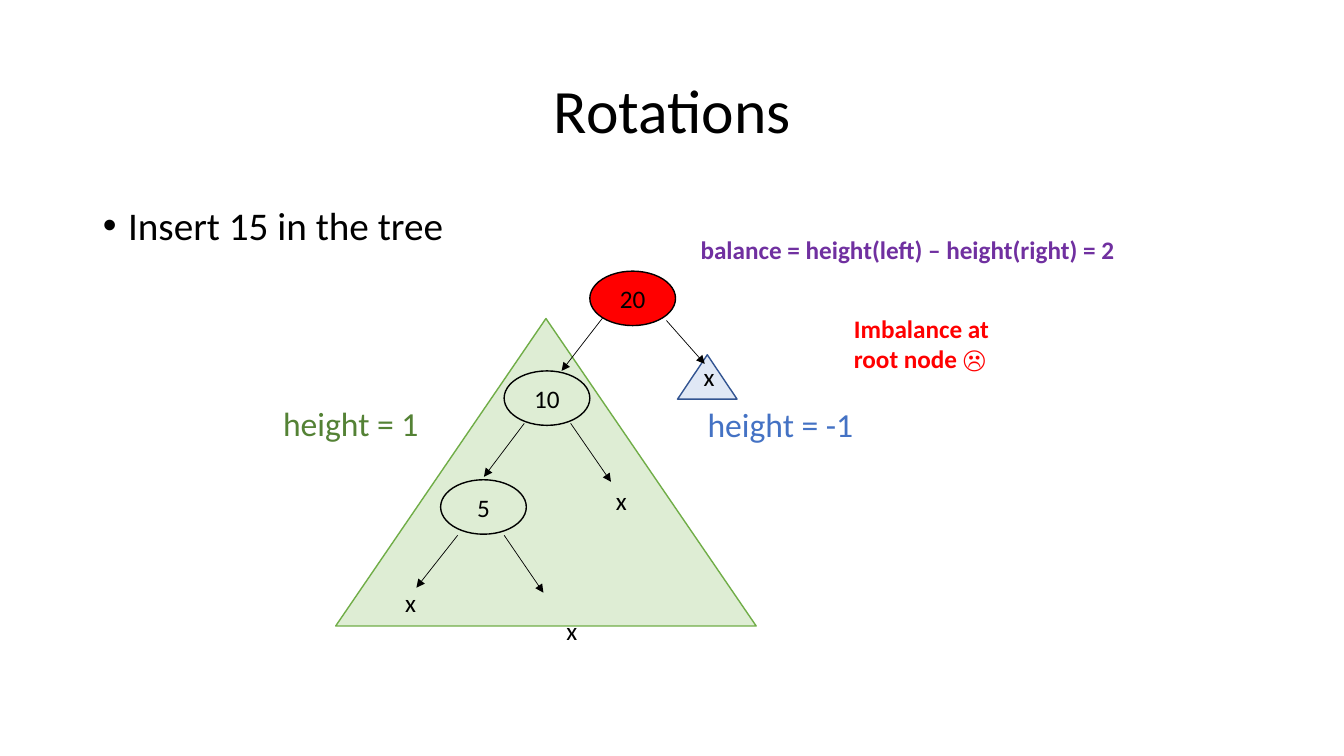
from dataclasses import dataclass

import lxml.etree
import pptx
import pptx.dml.color
import pptx.enum.shapes
import pptx.enum.text
import pptx.oxml.ns
import pptx.util

Inches = pptx.util.Inches
Pt = pptx.util.Pt
qn = pptx.oxml.ns.qn
Align = pptx.enum.text.PP_ALIGN
Anchor = pptx.enum.text.MSO_ANCHOR
Preset = pptx.enum.shapes.MSO_SHAPE


@dataclass(frozen=True)
class Theme:
    font: str = "Calibri"
    title_size: int = 44
    body_size: int = 28
    height_size: int = 24
    label_size: int = 18
    black: str = "000000"
    red: str = "FF0000"
    purple: str = "7030A0"
    green_text: str = "548235"
    green_fill: str = "A9D18E"
    green_line: str = "70AD47"
    blue: str = "4472C4"
    blue_line: str = "325491"


THEME = Theme()


@dataclass(frozen=True)
class Subtree:
    left: float
    top: float
    width: float
    height: float
    fill: str
    opacity: int
    line: str


@dataclass(frozen=True)
class Node:
    key: str
    left: float
    top: float
    fill: str | None = None


@dataclass(frozen=True)
class Arrow:
    start: tuple[float, float]
    end: tuple[float, float]


@dataclass(frozen=True)
class Label:
    text: str
    left: float
    top: float
    width: float = 0.31
    height: float = 0.4
    color: str = THEME.black
    size: int = THEME.label_size
    bold: bool = False
    wrap: bool = True


NODE_WIDTH, NODE_HEIGHT = 0.85, 0.54

LEFT_SUBTREE = Subtree(3.33, 3.16, 4.17, 3.05, THEME.green_fill, 38, THEME.green_line)
RIGHT_SUBTREE = Subtree(6.72, 3.52, 0.59, 0.44, THEME.blue, 16, THEME.blue_line)

NODES = [
    Node("20", 5.85, 2.69, THEME.red),
    Node("10", 5, 3.68),
    Node("5", 4.37, 4.76),
]

ARROWS = [
    Arrow((5.98, 3.15), (5.57, 3.68)),
    Arrow((6.61, 3.18), (6.99, 3.61)),
    Arrow((5.2, 4.2), (4.8, 4.73)),
    Arrow((5.66, 4.2), (6.06, 4.78)),
    Arrow((4.54, 5.31), (4.13, 5.83)),
    Arrow((5, 5.31), (5.39, 5.88)),
]

EMPTY_CHILDREN = [(6.88, 3.54), (6.01, 4.77), (3.92, 5.78), (5.52, 6.06)]

LABELS = [
    Label("balance = height(left) – height(right) = 2", 6.85, 2.28, 5,
          color=THEME.purple, bold=True),
    Label("Imbalance at root node ☹", 8.37, 3.06, 1.8, 0.71, THEME.red, bold=True),
    Label("height = 1", 2.71, 3.95, 1.84, 0.5, THEME.green_text, THEME.height_size),
    Label("height = -1", 6.92, 3.96, 1.84, 0.5, THEME.blue, THEME.height_size),
    *(Label("x", left, top, wrap=False) for left, top in EMPTY_CHILDREN),
]


def rgb(color: str) -> pptx.dml.color.RGBColor:
    return pptx.dml.color.RGBColor.from_string(color)


def format_paragraph(paragraph, size: int, color: str = THEME.black, bold: bool = False,
                     alignment=Align.LEFT) -> None:
    paragraph.alignment = alignment
    paragraph.font.name = THEME.font
    paragraph.font.size = Pt(size)
    paragraph.font.bold = bold
    paragraph.font.color.rgb = rgb(color)


def place(shape, left: float, top: float, width: float, height: float) -> None:
    shape.left, shape.top = Inches(left), Inches(top)
    shape.width, shape.height = Inches(width), Inches(height)


def fill_title(title) -> None:
    place(title, 0.92, 0.4, 11.5, 1.45)
    title.text_frame.text = "Rotations"
    title.text_frame.vertical_anchor = Anchor.MIDDLE
    paragraph = title.text_frame.paragraphs[0]
    paragraph.line_spacing = 0.9
    format_paragraph(paragraph, THEME.title_size, alignment=Align.CENTER)


def fill_body(body) -> None:
    place(body, 0.92, 2, 11.5, 4.76)
    body.text_frame.text = "Insert 15 in the tree"
    body.text_frame.vertical_anchor = Anchor.TOP
    paragraph = body.text_frame.paragraphs[0]
    properties = paragraph._p.get_or_add_pPr()
    properties.set("marL", str(Inches(0.25)))
    properties.set("indent", str(Inches(-0.25)))
    lxml.etree.SubElement(properties, qn("a:buFont"), typeface="Arial")
    lxml.etree.SubElement(properties, qn("a:buChar"), char="•")
    paragraph.line_spacing = 0.9
    paragraph.space_before = Pt(0)
    format_paragraph(paragraph, THEME.body_size)


def add_outlined_shape(slide, preset, box: tuple[float, float, float, float],
                       fill: str | None, line: str):
    shape = slide.shapes.add_shape(preset, *map(Inches, box))
    shape.shadow.inherit = False
    if fill:
        shape.fill.solid()
        shape.fill.fore_color.rgb = rgb(fill)
    else:
        shape.fill.background()
    shape.line.color.rgb = rgb(line)
    shape.line.width = Pt(1)
    return shape


def add_subtree(slide, subtree: Subtree) -> None:
    box = (subtree.left, subtree.top, subtree.width, subtree.height)
    shape = add_outlined_shape(slide, Preset.ISOSCELES_TRIANGLE, box,
                               subtree.fill, subtree.line)
    color = shape._element.spPr.find(qn("a:solidFill")).find(qn("a:srgbClr"))
    lxml.etree.SubElement(color, qn("a:alpha"), val=str(subtree.opacity * 1000))


def add_node(slide, node: Node) -> None:
    box = (node.left, node.top, NODE_WIDTH, NODE_HEIGHT)
    shape = add_outlined_shape(slide, Preset.OVAL, box, node.fill, THEME.black)
    shape.text_frame.text = node.key
    shape.text_frame.vertical_anchor = Anchor.MIDDLE
    format_paragraph(shape.text_frame.paragraphs[0], THEME.label_size,
                     alignment=Align.CENTER)


def add_arrow(slide, arrow: Arrow) -> None:
    connector = slide.shapes.add_connector(
        pptx.enum.shapes.MSO_CONNECTOR.STRAIGHT,
        *map(Inches, arrow.start + arrow.end))
    connector.line.color.rgb = rgb(THEME.black)
    connector.line.width = Pt(0.5)
    lxml.etree.SubElement(connector.line._get_or_add_ln(), qn("a:tailEnd"),
                          type="triangle")
    lxml.etree.SubElement(connector._element.spPr, qn("a:effectLst"))


def add_label(slide, label: Label) -> None:
    box = (label.left, label.top, label.width, label.height)
    frame = slide.shapes.add_textbox(*map(Inches, box)).text_frame
    frame.word_wrap = label.wrap
    frame.text = label.text
    format_paragraph(frame.paragraphs[0], label.size, label.color, label.bold)


def main() -> None:
    presentation = pptx.Presentation()
    presentation.slide_width = Inches(13.33)
    presentation.slide_height = Inches(7.5)
    slide = presentation.slides.add_slide(presentation.slide_layouts[1])
    fill_title(slide.shapes.title)
    fill_body(slide.placeholders[1])
    for subtree in (LEFT_SUBTREE, RIGHT_SUBTREE):
        add_subtree(slide, subtree)
    for node in NODES:
        add_node(slide, node)
    for arrow in ARROWS:
        add_arrow(slide, arrow)
    for label in LABELS:
        add_label(slide, label)
    presentation.save("out.pptx")


if __name__ == "__main__":
    main()
